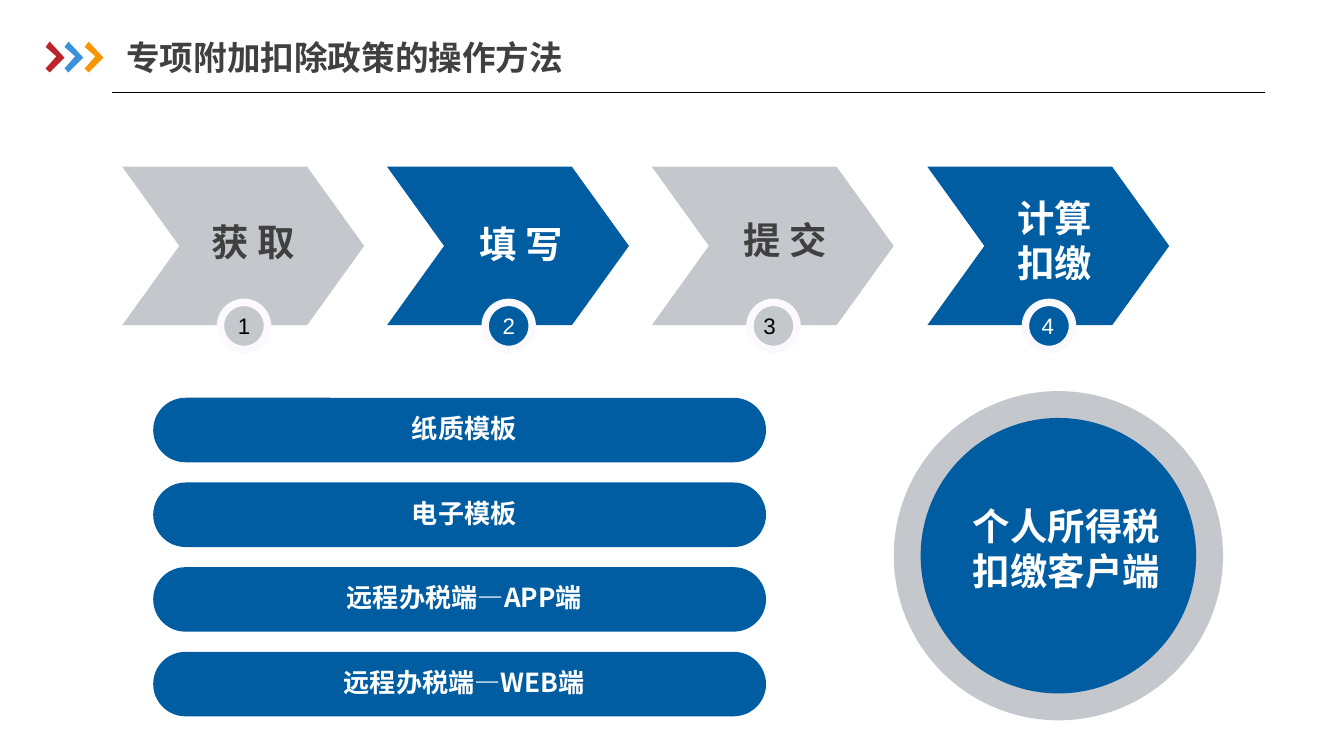
from pptx import Presentation
from pptx.dml.color import RGBColor
from pptx.enum import shapes, text
from pptx.oxml.ns import qn
from pptx.util import Inches, Pt
from lxml import etree

COLORS = {"blue": "005DA2", "grey": "C4C7CB", "dark": "404040", "white": "FFFFFF",
          "black": "000000", "ring": "FBF9FC", "red": "BC242A", "sky": "3992DB",
          "orange": "F79600"}
HEADING_FONT = "Noto Sans CJK SC"
CENTER, LEFT = text.PP_ALIGN.CENTER, text.PP_ALIGN.LEFT

# Widescreen slide, 16:9
presentation = Presentation()
presentation.slide_width = Inches(10)
presentation.slide_height = Inches(10 * 9 / 16)
slide = presentation.slides.add_slide(presentation.slide_layouts[6])


def paint(shape, fill, line=None):
    shape.shadow.inherit = False
    shape.fill.solid()
    shape.fill.fore_color.rgb = RGBColor.from_string(COLORS[fill])
    if line:
        shape.line.color.rgb = RGBColor.from_string(COLORS[line])
        shape.line.width = Pt(4)
    else:
        shape.line.fill.background()


def add_text(box, lines, size, color, align=CENTER, font=HEADING_FONT, bold=True,
             spacing=None, inset=0):
    frame = slide.shapes.add_textbox(*[Inches(value) for value in box]).text_frame
    frame_format = {"word_wrap": True, "vertical_anchor": text.MSO_ANCHOR.MIDDLE,
                    "margin_left": 0, "margin_right": 0,
                    "margin_top": Inches(inset), "margin_bottom": Inches(inset)}
    for name, value in frame_format.items():
        setattr(frame, name, value)
    for index, line in enumerate(lines):
        paragraph = frame.add_paragraph() if index else frame.paragraphs[0]
        paragraph.alignment = align
        paragraph.line_spacing = spacing
        run = paragraph.add_run()
        run.text = line
        for name, value in {"size": Pt(size), "bold": bold, "name": font}.items():
            setattr(run.font, name, value)
        run.font.color.rgb = RGBColor.from_string(COLORS[color])
        # East Asian typeface
        etree.SubElement(run._r.get_or_add_rPr(), qn("a:ea")).set("typeface", font)


# Title with three small arrows and a rule
add_text((0.94, 0.22, 5.16, 0.41), ["专项附加扣除政策的操作方法"], 18, "dark", LEFT, inset=0.05)
arrow_points = [(0.03, 0.54), (0, 0.51), (0.08, 0.42), (0, 0.35), (0.03, 0.31), (0.14, 0.43)]
for left, color in [(0.34, "red"), (0.48, "sky"), (0.63, "orange")]:
    points = [(Inches(left + x), Inches(y)) for x, y in arrow_points]
    builder = slide.shapes.build_freeform(*points[0])
    builder.add_line_segments(points[1:])
    paint(builder.convert_to_shape(), color)

rule = slide.shapes.add_connector(shapes.MSO_CONNECTOR.STRAIGHT, Inches(0.83), Inches(0.69),
                                  Inches(9.41), Inches(0.69))
rule.line.color.rgb = RGBColor.from_string(COLORS["black"])
rule.line.width = Pt(0.75)
etree.SubElement(rule._element.spPr, qn("a:effectLst"))

# Four numbered steps: left edge, label lines, label box, number box
steps = [
    (0.91, ["获 取"], (1.3, 1.63, 1.17, 0.33), (1.77, 2.32, 0.1, 0.2)),
    (2.88, ["填 写"], (3.27, 1.61, 1.22, 0.41), (3.74, 2.32, 0.1, 0.2)),
    (4.85, ["提 交"], (5.24, 1.55, 1.2, 0.47), (5.68, 2.29, 0.15, 0.26)),
    (6.9, ["计算", "扣缴"], (7.23, 1.47, 1.24, 0.63), (7.75, 2.32, 0.1, 0.2)),
]
for number, (left, label, label_box, number_box) in enumerate(steps, 1):
    fill, label_color, number_color = (("grey", "dark", "black") if number % 2
                                       else ("blue", "white", "white"))
    chevron = slide.shapes.add_shape(shapes.MSO_SHAPE.CHEVRON, Inches(left), Inches(1.24),
                                     Inches(1.8), Inches(1.18))
    chevron.adjustments[0] = 0.36
    paint(chevron, fill)
    add_text(label_box, label, 20, label_color)

    badge = slide.shapes.add_shape(shapes.MSO_SHAPE.OVAL, Inches(left + 0.73), Inches(2.25),
                                   Inches(0.35), Inches(0.35))
    paint(badge, fill, "ring")
    add_text(number_box, [str(number)], 12, number_color, LEFT, "Arial", False)

# Ways to fill in the form
channels = ["纸质模板", "电子模板", "远程办税端—APP端", "远程办税端—WEB端"]
for index, channel in enumerate(channels):
    top = 2.96 + 0.63 * index
    bar = slide.shapes.add_shape(shapes.MSO_SHAPE.ROUNDED_RECTANGLE, Inches(1.14), Inches(top),
                                 Inches(4.56), Inches(0.48))
    bar.adjustments[0] = 0.5
    paint(bar, "blue")
    add_text((0.75, top + 0.07, 5.41, 0.34), [channel], 14, "white", spacing=0.9)

# Client circle with its ring
ring = slide.shapes.add_shape(shapes.MSO_SHAPE.DONUT, Inches(6.65), Inches(2.91),
                              Inches(2.45), Inches(2.45))
ring.adjustments[0] = 0.1
paint(ring, "grey")
disc = slide.shapes.add_shape(shapes.MSO_SHAPE.OVAL, Inches(6.85), Inches(3.11),
                              Inches(2.05), Inches(2.05))
paint(disc, "blue")
add_text((7.17, 3.69, 1.53, 0.78), ["个人所得税扣缴客户端"], 20, "white")

presentation.save("out.pptx")
